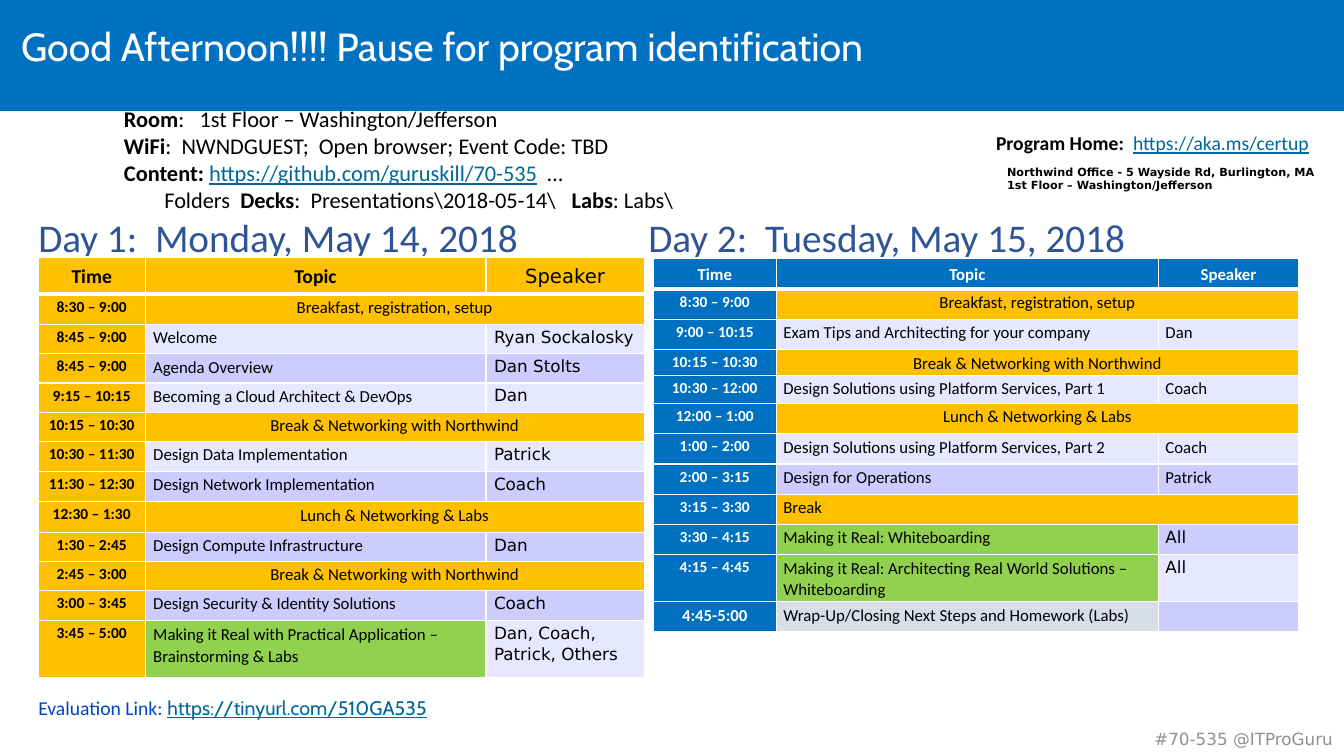
from dataclasses import dataclass

from lxml.etree import SubElement
from pptx import Presentation
from pptx.dml.color import RGBColor
from pptx.enum.shapes import MSO_SHAPE
from pptx.enum.text import MSO_ANCHOR, PP_ALIGN
from pptx.oxml.ns import qn
from pptx.util import Inches, Pt


@dataclass(frozen=True)
class Theme:
    """Colours, fonts and type sizes of the agenda."""
    blue: str = "0070C0"
    gold: str = "FFC000"
    green: str = "92D050"
    mist: str = "D8DEE7"
    pale: str = "E7E7FF"
    lilac: str = "CCCCFF"
    white: str = "FFFFFF"
    black: str = "000000"
    grey: str = "909090"
    navy: str = "2F5496"
    royal: str = "0043C8"
    link: str = "006699"
    sans: str = "Calibri"
    round: str = "Cabin"
    wide: str = "DejaVu Sans"
    head: int = 28
    lead: int = 16
    note: int = 14
    body: int = 12
    time: int = 11
    tiny: int = 8


class Deck:
    """Holds the theme and the current slide, and draws each element."""

    def __init__(self, theme):
        self.theme = theme
        self.file = Presentation()
        self.file.slide_width = Inches(13.33)
        self.file.slide_height = Inches(7.5)
        self.slide = self.file.slides.add_slide(self.file.slide_layouts[6])

    def bar(self, box, fill):
        """Draw a plain filled rectangle."""
        shape = self.slide.shapes.add_shape(MSO_SHAPE.RECTANGLE, *map(Inches, box))
        shape.shadow.inherit = False
        shape.fill.solid()
        shape.fill.fore_color.rgb = RGBColor.from_string(fill)
        shape.line.fill.background()

    def style(self, font, size, face=None, hue=None, bold=False, line=False):
        """Set the look of one font."""
        font.size = Pt(size)
        font.name = face or self.theme.sans
        font.color.rgb = RGBColor.from_string(hue or self.theme.black)
        font.bold = bold
        font.underline = line

    def text(self, box, lines, size, pad=None, mid=False, align=PP_ALIGN.LEFT, space=1.0, tabs=()):
        """Add a text box; each line is a list of (text, look) runs."""
        frame = self.slide.shapes.add_textbox(*map(Inches, box)).text_frame
        frame.word_wrap = True
        if pad:
            (frame.margin_left, frame.margin_top,
             frame.margin_right, frame.margin_bottom) = map(Inches, pad)
        frame.vertical_anchor = MSO_ANCHOR.MIDDLE if mid else MSO_ANCHOR.TOP
        for i, line in enumerate(lines):
            para = frame.paragraphs[0] if i == 0 else frame.add_paragraph()
            para.alignment = align
            para.line_spacing = space
            if tabs:
                stops = SubElement(para._p.get_or_add_pPr(), qn("a:tabLst"))
                for stop in tabs:
                    SubElement(stops, qn("a:tab"), pos=str(Inches(stop)), algn="l")
            for words, look in line:
                run = para.add_run()
                run.text = words
                self.style(run.font, size, **look)

    def cell(self, cell, words, fill, size, side, head=False, mid=False, **look):
        """Fill one table cell with its borders, colour and text."""
        props = cell._tc.get_or_add_tcPr()
        for edge in ("lnL", "lnR", "lnT", "lnB"):
            width = Pt(3 if head and edge == "lnB" else 1)
            line = SubElement(props, qn(f"a:{edge}"), w=str(width))
            paint = SubElement(line, qn("a:solidFill"))
            SubElement(paint, qn("a:srgbClr"), val=self.theme.white)
        cell.fill.solid()
        cell.fill.fore_color.rgb = RGBColor.from_string(fill)
        cell.margin_left = cell.margin_right = Inches(side)
        cell.margin_top = cell.margin_bottom = Inches(0.02)
        cell.vertical_anchor = MSO_ANCHOR.MIDDLE if head else MSO_ANCHOR.TOP
        para = cell.text_frame.paragraphs[0]
        para.text = words
        para.alignment = PP_ALIGN.CENTER if mid else PP_ALIGN.LEFT
        para.line_spacing = 1.07
        for run in para.runs:
            self.style(run.font, size, **look)
        if not words:
            SubElement(para._p, qn("a:endParaRPr"), sz=str(size * 100))

    def table(self, spot, cols, highs, rows, fill, ink, size, side, wide):
        """Draw one day's agenda; a row without a speaker spans as a break."""
        t = self.theme
        box = (*spot, sum(cols), sum(highs))
        grid = self.slide.shapes.add_table(len(highs), 3, *map(Inches, box)).table
        grid.horz_banding = False
        for col, width in zip(grid.columns, cols):
            col.width = Inches(width)
        for row, high in zip(grid.rows, highs):
            row.height = Inches(high)
        for i, name in enumerate(("Time", "Topic", "Speaker")):
            odd = wide and name == "Speaker"
            self.cell(grid.cell(0, i), name, fill, size, side, head=True, mid=True,
                      hue=ink, bold=not odd, face=t.wide if odd else t.sans)
        for i, (time, topic, who) in enumerate(rows, 1):
            band = t.lilac if i % 2 else t.pale
            tint = band
            if who is None:
                tint = t.gold
                grid.cell(i, 1).merge(grid.cell(i, 2))
            elif topic.startswith("Making"):
                tint = t.green
            elif topic.startswith("Wrap"):
                tint = t.mist
            small = t.time if " " in time else t.body
            self.cell(grid.cell(i, 0), time, fill, small, side, mid=True, hue=ink, bold=True)
            self.cell(grid.cell(i, 1), topic, tint, t.body, side,
                      mid=who is None and topic != "Break")
            if who is not None:
                face = t.wide if wide or who == "All" else t.sans
                self.cell(grid.cell(i, 2), who, band, t.body, side, face=face)


MEAL = "Breakfast, registration, setup"
REST = "Break & Networking with Northwind"
LUNCH = "Lunch & Networking & Labs"
FIRST = [
    ("8:30 – 9:00", MEAL, None),
    ("8:45 – 9:00", "Welcome", "Ryan Sockalosky"),
    ("8:45 – 9:00", "Agenda Overview", "Dan Stolts"),
    ("9:15 – 10:15", "Becoming a Cloud Architect & DevOps", "Dan"),
    ("10:15 – 10:30", REST, None),
    ("10:30 – 11:30", "Design Data Implementation", "Patrick"),
    ("11:30 – 12:30", "Design Network Implementation", "Coach"),
    ("12:30 – 1:30", LUNCH, None),
    ("1:30 – 2:45", "Design Compute Infrastructure", "Dan"),
    ("2:45 – 3:00", REST, None),
    ("3:00 – 3:45", "Design Security & Identity Solutions", "Coach"),
    ("3:45 – 5:00", "Making it Real with Practical Application – Brainstorming & Labs",
     "Dan, Coach, Patrick, Others"),
]
NEXT = [
    ("8:30 – 9:00", MEAL, None),
    ("9:00 – 10:15", "Exam Tips and Architecting for your company", "Dan"),
    ("10:15 – 10:30", REST, None),
    ("10:30 – 12:00", "Design Solutions using Platform Services, Part 1", "Coach"),
    ("12:00 – 1:00", LUNCH, None),
    ("1:00 – 2:00", "Design Solutions using Platform Services, Part 2", "Coach"),
    ("2:00 – 3:15", "Design for Operations", "Patrick"),
    ("3:15 – 3:30", "Break", None),
    ("3:30 – 4:15", "Making it Real: Whiteboarding", "All"),
    ("4:15 – 4:45", "Making it Real: Architecting Real World Solutions – Whiteboarding", "All"),
    ("4:45-5:00", "Wrap-Up/Closing Next Steps and Homework (Labs)", ""),
]


def main():
    """Build the agenda slide and save it."""
    t = Theme()
    deck = Deck(t)
    flat = (0, 0, 0, 0)
    bold = {"bold": True}
    link = {"hue": t.link, "line": True}
    deck.bar((0, 0, 13.33, 1.1), t.blue)
    deck.text((9.84, 7.18, 3.48, 0.3),
              [[("#70-535 @ITProGuru", {"face": t.wide, "hue": t.grey})]],
              t.body, align=PP_ALIGN.RIGHT)
    deck.text((0.21, 0, 12.87, 0.98),
              [[("Good Afternoon!!!! Pause for program identification",
                 {"face": t.round, "hue": t.white})]],
              t.head, pad=(0, 0.05, 0.1, 0.05), mid=True, space=0.85)
    for left, width, day in ((0.38, 5.83, "Day 1:  Monday, May 14, 2018"),
                             (6.43, 5.54, "Day 2:  Tuesday, May 15, 2018")):
        deck.text((left, 2.12, width, 4.58), [[(day, {"hue": t.navy})]], t.head, pad=flat)
    deck.text((0.38, 6.9, 12.5, 0.45),
              [[("Evaluation Link: ", {"hue": t.royal}),
                ("https://tinyurl.com/510GA535", {"face": t.round, **link})]],
              t.note, pad=flat)
    deck.table((0.38, 2.55), (1.06, 3.38, 1.57),
               (0.37, 0.3, *[0.29] * 4, *[0.3] * 3, 0.29, 0.29, 0.3, 0.56),
               FIRST, t.gold, t.black, t.note, 0.08, True)
    deck.text((1.23, 0.79, 5.56, 1.33), [
        [("Room", bold), (":\t1st Floor – Washington/Jefferson", {})],
        [("WiFi", bold), (":  NWNDGUEST;  Open browser; Event Code: TBD", {})],
        [("Content: ", bold), ("https://github.com/guruskill/70-535", link), ("  …", {})],
        [("\tFolders  ", {}), ("Decks", bold), (":  Presentations\\2018-05-14\\\t", {}),
         ("Labs", bold), (": Labs\\", {})],
    ], t.lead, pad=(0, 0.25, 0, 0), mid=True, tabs=(0.4, 0.75, 4.44))
    deck.text((8.78, 1.25, 4.3, 0.34),
              [[("Program Home:  ", bold), ("https://aka.ms/certup", link)]],
              t.note, align=PP_ALIGN.RIGHT)
    deck.table((6.48, 2.56), (1.22, 3.79, 1.39),
               (0.31, 0.3, 0.3, 0.25, 0.28, *[0.3] * 7),
               NEXT, t.blue, t.white, t.body, 0.07, False)
    site = {"face": t.wide, "bold": True}
    deck.text((9.89, 1.59, 3.3, 0.37),
              [[("Northwind Office - 5 Wayside Rd, Burlington, MA", site)],
               [("1st Floor – Washington/Jefferson", site)]], t.tiny)
    deck.file.save("out.pptx")


if __name__ == "__main__":
    main()
